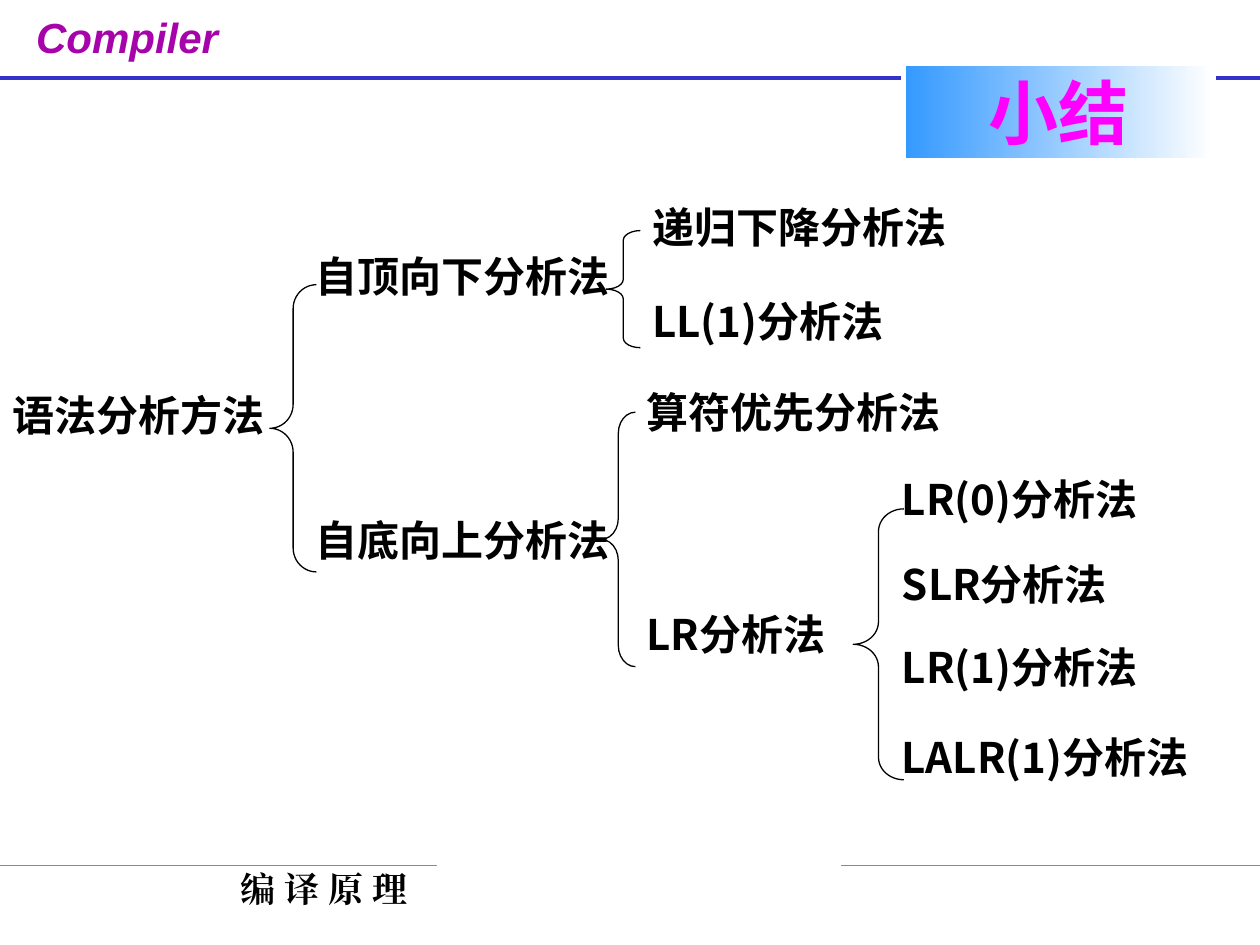
from dataclasses import dataclass

import lxml.etree
import pptx
import pptx.dml.color
import pptx.enum.shapes
import pptx.enum.text
import pptx.oxml.ns
import pptx.util

Cm = pptx.util.Cm
Pt = pptx.util.Pt
Rgb = pptx.dml.color.RGBColor
qn = pptx.oxml.ns.qn
Shape = pptx.enum.shapes.MSO_SHAPE
Align = pptx.enum.text.PP_ALIGN


@dataclass(frozen=True)
class TextStyle:
    size: float
    color: str
    font: str
    italic: bool = False
    align: Align = Align.LEFT


@dataclass(frozen=True)
class Theme:
    paper: str = "FFFFFF"
    ink: str = "000000"
    header_rule: str = "3333CC"
    footer_rule: str = "00CC99"
    title_start: str = "3399FF"
    course: TextStyle = TextStyle(24, "A603AB", "Arial", italic=True)
    footer: TextStyle = TextStyle(20, "000000", "Times New Roman", align=Align.CENTER)
    method: TextStyle = TextStyle(24, "000000", "Noto Sans CJK SC")
    title: TextStyle = TextStyle(40, "FF00FF", "Noto Sans CJK SC", align=Align.CENTER)


@dataclass(frozen=True)
class Box:
    left: float
    top: float
    width: float
    height: float = 1.93

    def lengths(self) -> tuple:
        return Cm(self.left), Cm(self.top), Cm(self.width), Cm(self.height)


@dataclass(frozen=True)
class Method:
    text: str
    box: Box


THEME = Theme()
SLIDE_WIDTH, SLIDE_HEIGHT = 25.4, 19.05
LEVEL_2, LEVEL_3_TOP, LEVEL_3_BOTTOM, LEVEL_4 = 6.12, 12.9, 12.78, 17.93

METHODS = [
    Method("语法分析方法", Box(0, 7.72, 6.12)),
    Method("自顶向下分析法", Box(LEVEL_2, 4.93, 7.47)),
    Method("递归下降分析法", Box(LEVEL_3_TOP, 3.94, 6.78)),
    Method("LL(1)分析法", Box(LEVEL_3_TOP, 5.82, 6.78)),
    Method("自底向上分析法", Box(LEVEL_2, 10.24, 6.78)),
    Method("算符优先分析法", Box(LEVEL_3_BOTTOM, 7.67, 6.78)),
    Method("LR分析法", Box(LEVEL_3_BOTTOM, 12.14, 4.75)),
    Method("LR(0)分析法", Box(LEVEL_4, 9.42, 6.1)),
    Method("SLR分析法", Box(LEVEL_4, 11.13, 5.44)),
    Method("LR(1)分析法", Box(LEVEL_4, 12.8, 6.78)),
    Method("LALR(1)分析法", Box(LEVEL_4, 14.61, 7.47)),
]
BRACES = [
    Box(12.22, 4.65, 0.69, 2.36),
    Box(12.12, 8.31, 0.69, 5.13),
    Box(17.2, 10.26, 1.02, 5.46),
    Box(5.44, 5.74, 0.94, 5.79),
]


def rgb(value: str) -> Rgb:
    return Rgb.from_string(value)


def write_text(frame, text: str, style: TextStyle, wrap: bool = True) -> None:
    frame.auto_size = pptx.enum.text.MSO_AUTO_SIZE.NONE
    frame.word_wrap = wrap
    frame.vertical_anchor = pptx.enum.text.MSO_ANCHOR.TOP
    frame.margin_left = frame.margin_right = Cm(0.25)
    frame.margin_top = frame.margin_bottom = Cm(0.13)
    paragraph = frame.paragraphs[0]
    paragraph.text = text
    paragraph.alignment = style.align
    font = paragraph.font
    font.size = Pt(style.size)
    font.name = style.font
    font.bold = True
    font.italic = style.italic
    font.color.rgb = rgb(style.color)
    properties = paragraph._p.pPr.find(qn("a:defRPr"))
    east_asian = lxml.etree.SubElement(properties, qn("a:ea"))
    east_asian.set("typeface", style.font)


def add_textbox(slide, box: Box, text: str, style: TextStyle, wrap: bool) -> None:
    write_text(slide.shapes.add_textbox(*box.lengths()).text_frame, text, style, wrap)


def add_rule(slide, top: float, color: str, weight: float) -> None:
    rule = slide.shapes.add_connector(
        pptx.enum.shapes.MSO_CONNECTOR.STRAIGHT, 0, Cm(top), Cm(SLIDE_WIDTH), Cm(top)
    )
    rule.line.color.rgb = rgb(color)
    rule.line.width = Pt(weight)
    lxml.etree.SubElement(rule.element.spPr, qn("a:effectLst"))


def add_panel(slide, box: Box):
    panel = slide.shapes.add_shape(Shape.RECTANGLE, *box.lengths())
    panel.shadow.inherit = False
    panel.fill.solid()
    panel.fill.fore_color.rgb = rgb(THEME.paper)
    panel.line.fill.background()
    return panel


def add_brace(slide, box: Box) -> None:
    brace = slide.shapes.add_shape(Shape.LEFT_BRACE, *box.lengths())
    brace.adjustments[0] = box.height / 12 / box.width
    brace.shadow.inherit = False
    brace.fill.background()
    brace.line.color.rgb = rgb(THEME.ink)
    brace.line.width = Pt(0.75)


def place_title(slide, box: Box, text: str) -> None:
    title = slide.shapes.title
    title.left, title.top, title.width, title.height = box.lengths()
    title.fill.gradient()
    title.fill.gradient_angle = 0
    for stop, color in zip(title.fill.gradient_stops, (THEME.title_start, THEME.paper)):
        stop.color.rgb = rgb(color)
    title.line.color.rgb = rgb(THEME.paper)
    title.line.width = Pt(3)
    write_text(title.text_frame, text, THEME.title)
    title.element.getparent().append(title.element)


def main() -> None:
    deck = pptx.Presentation()
    deck.slide_width, deck.slide_height = Cm(SLIDE_WIDTH), Cm(SLIDE_HEIGHT)
    slide = deck.slides.add_slide(deck.slide_layouts[5])

    add_textbox(slide, Box(0.48, 0.1, 4.85, 1.57), "Compiler", THEME.course, False)
    add_rule(slide, 1.57, THEME.header_rule, 2.25)
    add_textbox(slide, Box(1.27, 17.35, 10.52, 1.27), "编 译 原 理", THEME.footer, True)
    add_rule(slide, 17.45, THEME.footer_rule, 0.75)

    for method in METHODS:
        write_text(add_panel(slide, method.box).text_frame, method.text, THEME.method)
    for brace in BRACES:
        add_brace(slide, brace)

    add_panel(slide, Box(8.81, 16, 8.15))
    place_title(slide, Box(18.21, 1.27, 6.25, 1.96), "小结")
    deck.save("out.pptx")


if __name__ == "__main__":
    main()
